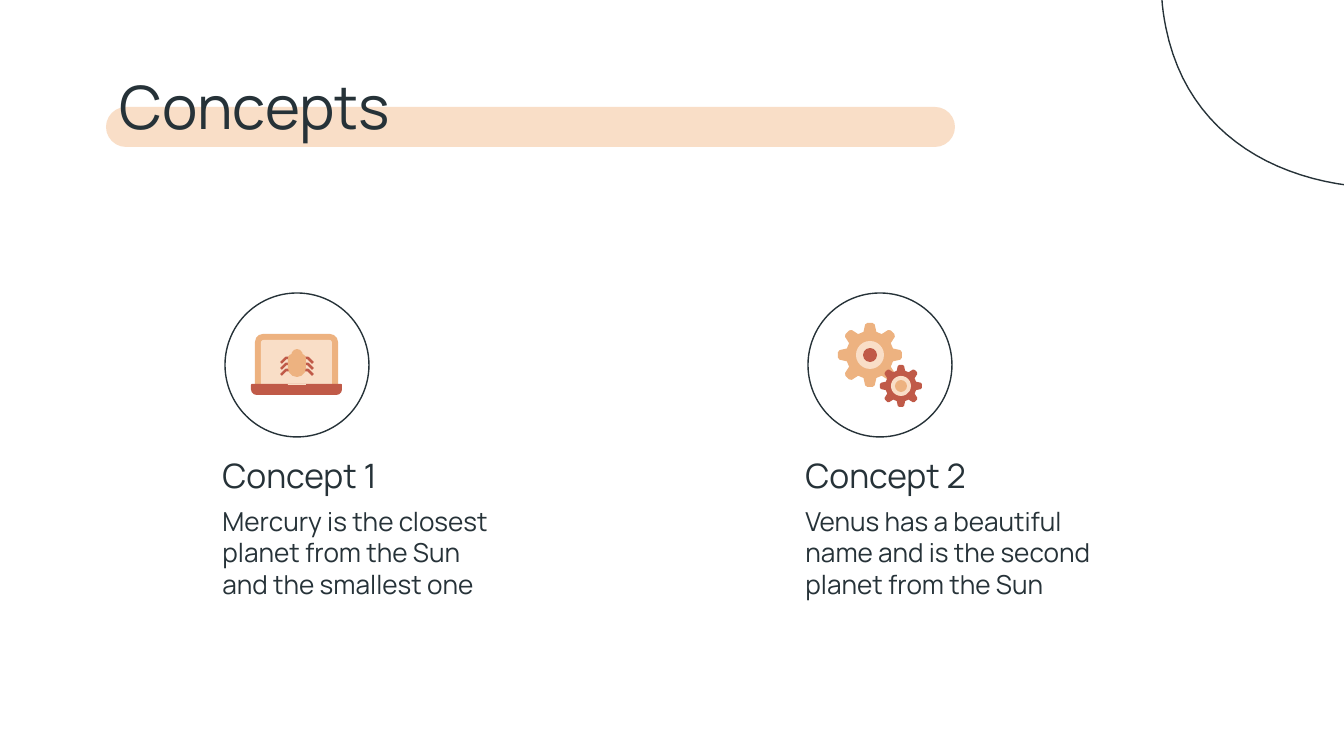
from dataclasses import dataclass
from math import cos, pi, sin

from lxml.etree import SubElement
from pptx import Presentation
from pptx.dml.color import RGBColor
from pptx.enum.shapes import MSO_SHAPE
from pptx.enum.text import MSO_ANCHOR, MSO_AUTO_SIZE, PP_ALIGN
from pptx.oxml.ns import qn
from pptx.util import Inches, Pt

PX = Inches(10) / 1344


@dataclass(frozen=True)
class Theme:
    font: str = "Manrope"
    ink: str = "263238"
    peach: str = "F9DEC7"
    orange: str = "EDB280"
    rust: str = "C05A48"
    title: int = 32
    heading: int = 18
    body: int = 14
    outline: float = 0.75
    leg: float = 1.4


THEME = Theme()

BLOB_START = (474, 0)
BLOB_CURVES = [
    ((464, 0), (450, 4), (437, 11)),
    ((384, 38), (380, 97), (309, 99)),
    ((302, 101), (296, 101), (289, 101)),
    ((255, 101), (223, 97), (194, 97)),
    ((157, 97), (121, 102), (81, 124)),
    ((13, 160), (0, 214), (13, 277)),
    ((35, 386), (129, 437), (237, 437)),
    ((284, 437), (332, 428), (378, 410)),
    ((526, 353), (594, 222), (560, 91)),
    ((551, 52), (523, 0), (474, 0)),
]

# Half width and distance from the centre, as shares of the gear radius
TOOTH = [(-0.2, 0.72), (-0.15, 0.95), (-0.08, 1), (0.08, 1), (0.15, 0.95), (0.2, 0.72)]


def emu(length):
    return round(length * PX)


def paint(shape, fill=None, line=None, width=THEME.outline):
    shape.shadow.inherit = False
    if fill:
        shape.fill.solid()
        shape.fill.fore_color.rgb = RGBColor.from_string(fill)
    else:
        shape.fill.background()
    if line:
        shape.line.color.rgb = RGBColor.from_string(line)
        shape.line.width = Pt(width)
    else:
        shape.line.fill.background()


def add_preset(slide, preset, box, fill=None, line=None, corners=()):
    shape = slide.shapes.add_shape(preset, *map(emu, box))
    for index, corner in enumerate(corners):
        shape.adjustments[index] = corner
    paint(shape, fill, line)
    return shape


def add_circle(slide, center_x, center_y, radius, fill=None, line=None):
    box = (center_x - radius, center_y - radius, 2 * radius, 2 * radius)
    add_preset(slide, MSO_SHAPE.OVAL, box, fill, line)


def add_outline(slide, points, close=True, **style):
    start, *rest = [(emu(x), emu(y)) for x, y in points]
    builder = slide.shapes.build_freeform(*start)
    builder.add_line_segments(rest, close=close)
    paint(builder.convert_to_shape(), **style)


def fill_placeholder(placeholder, box, text, size):
    placeholder.left, placeholder.top, placeholder.width, placeholder.height = map(emu, box)
    frame = placeholder.text_frame
    frame.text = text
    frame.word_wrap = True
    frame.auto_size = MSO_AUTO_SIZE.NONE
    frame.vertical_anchor = MSO_ANCHOR.TOP
    frame.margin_left = frame.margin_right = Inches(0.1)
    frame.margin_top = frame.margin_bottom = Inches(0.1)
    for paragraph in frame.paragraphs:
        properties = paragraph._p.get_or_add_pPr()
        properties.set("marL", "0")
        properties.set("indent", "0")
        SubElement(properties, qn("a:buNone"))
        paragraph.alignment = PP_ALIGN.LEFT
        paragraph.space_before = Pt(0)
        for run in paragraph.runs:
            run.font.name = THEME.font
            run.font.size = Pt(size)
            run.font.bold = False
            run.font.color.rgb = RGBColor.from_string(THEME.ink)


def bezier_points(start, curves, steps=24):
    points = [start]
    for first, second, end in curves:
        origin = points[-1]
        for step in range(1, steps + 1):
            t = step / steps
            weights = ((1 - t) ** 3, 3 * t * (1 - t) ** 2, 3 * t * t * (1 - t), t ** 3)
            corners = (origin, first, second, end)
            points.append(tuple(sum(w * c[axis] for w, c in zip(weights, corners))
                                for axis in (0, 1)))
    return points


def add_corner_blob(slide, left, top):
    points = bezier_points(BLOB_START, BLOB_CURVES)
    add_outline(slide, [(left + x, top + y) for x, y in points], line=THEME.ink)


def add_header(slide, left, top, text):
    bar = add_preset(slide, MSO_SHAPE.ROUNDED_RECTANGLE, (left, top + 51, 849, 40),
                     THEME.peach, corners=[0.5])
    slide.shapes._spTree.insert(2, bar._element)  # behind the title
    fill_placeholder(slide.shapes.title, (left, top, 1133, 90), text, THEME.title)


def add_gear(slide, center_x, center_y, radii, colors, teeth=8):
    """Radii and colours run from the toothed wheel to the core."""
    points = []
    for tooth in range(teeth):
        angle = 2 * pi * tooth / teeth
        for across, out in TOOTH:
            points.append((center_x + radii[0] * (out * sin(angle) + across * cos(angle)),
                           center_y + radii[0] * (across * sin(angle) - out * cos(angle))))
    add_outline(slide, points, fill=colors[0])
    for radius, color in zip(radii[1:], colors[1:]):
        add_circle(slide, center_x, center_y, radius, color)


def add_gears(slide, left, top):
    add_gear(slide, left + 62, top + 62, (32, 14, 7), (THEME.orange, THEME.peach, THEME.rust))
    add_gear(slide, left + 93, top + 93, (21, 10, 6), (THEME.rust, THEME.peach, THEME.orange))


def add_bug(slide, center_x, top):
    for side in (-1, 1):
        for row in range(3):
            y = top + 9 + 6 * row
            leg = [(center_x + side * x, y + drop) for x, drop in ((3, 0), (11, 0), (16, 5))]
            add_outline(slide, leg, close=False, line=THEME.rust, width=THEME.leg)
    add_preset(slide, MSO_SHAPE.OVAL, (center_x - 6, top, 12, 14), THEME.orange)
    add_preset(slide, MSO_SHAPE.ROUND_2_SAME_RECTANGLE, (center_x - 9, top + 5, 18, 23),
               THEME.orange, corners=[0.25, 0.5])


def add_laptop(slide, left, top):
    parts = [
        (MSO_SHAPE.ROUND_2_SAME_RECTANGLE, (30, 41, 83, 57), THEME.orange, [0.14, 0]),
        (MSO_SHAPE.ROUND_2_SAME_RECTANGLE, (36, 47, 71, 51), THEME.peach, [0.05, 0]),
        (MSO_SHAPE.ROUND_2_SAME_RECTANGLE, (26, 91, 91, 11), THEME.rust, [0.1, 0.5]),
        (MSO_SHAPE.RECTANGLE, (63, 91, 18, 1), THEME.peach, []),
    ]
    for preset, (x, y, width, height), color, corners in parts:
        add_preset(slide, preset, (left + x, top + y, width, height), color, corners=corners)
    add_bug(slide, left + 72, top + 56)


def add_concept(slide, left, top, placeholders, heading, description, add_icon):
    add_circle(slide, left + 88, top + 72, 72, line=THEME.ink)
    add_icon(slide, left + 16, top)
    fill_placeholder(placeholders[0], (left, top + 148, 351, 55), heading, THEME.heading)
    fill_placeholder(placeholders[1], (left, top + 199, 351, 125), description, THEME.body)


def main():
    deck = Presentation()
    deck.slide_width, deck.slide_height = emu(1344), emu(756)
    slide = deck.slides.add_slide(deck.slide_layouts.get_by_name("Comparison"))
    add_header(slide, 106, 56, "Concepts")
    add_corner_blob(slide, 1153, -249)
    concepts = [
        ("Concept 1", "Mercury is the closest planet from the Sun \vand the smallest one",
         add_laptop),
        ("Concept 2", "Venus has a beautiful name and is the second planet from the Sun",
         add_gears),
    ]
    bodies = list(slide.placeholders)[1:]
    for column, concept in enumerate(concepts):
        pair = bodies[2 * column:2 * column + 2]
        add_concept(slide, 209 + 583 * column, 293, pair, *concept)
    deck.save("out.pptx")


if __name__ == "__main__":
    main()
